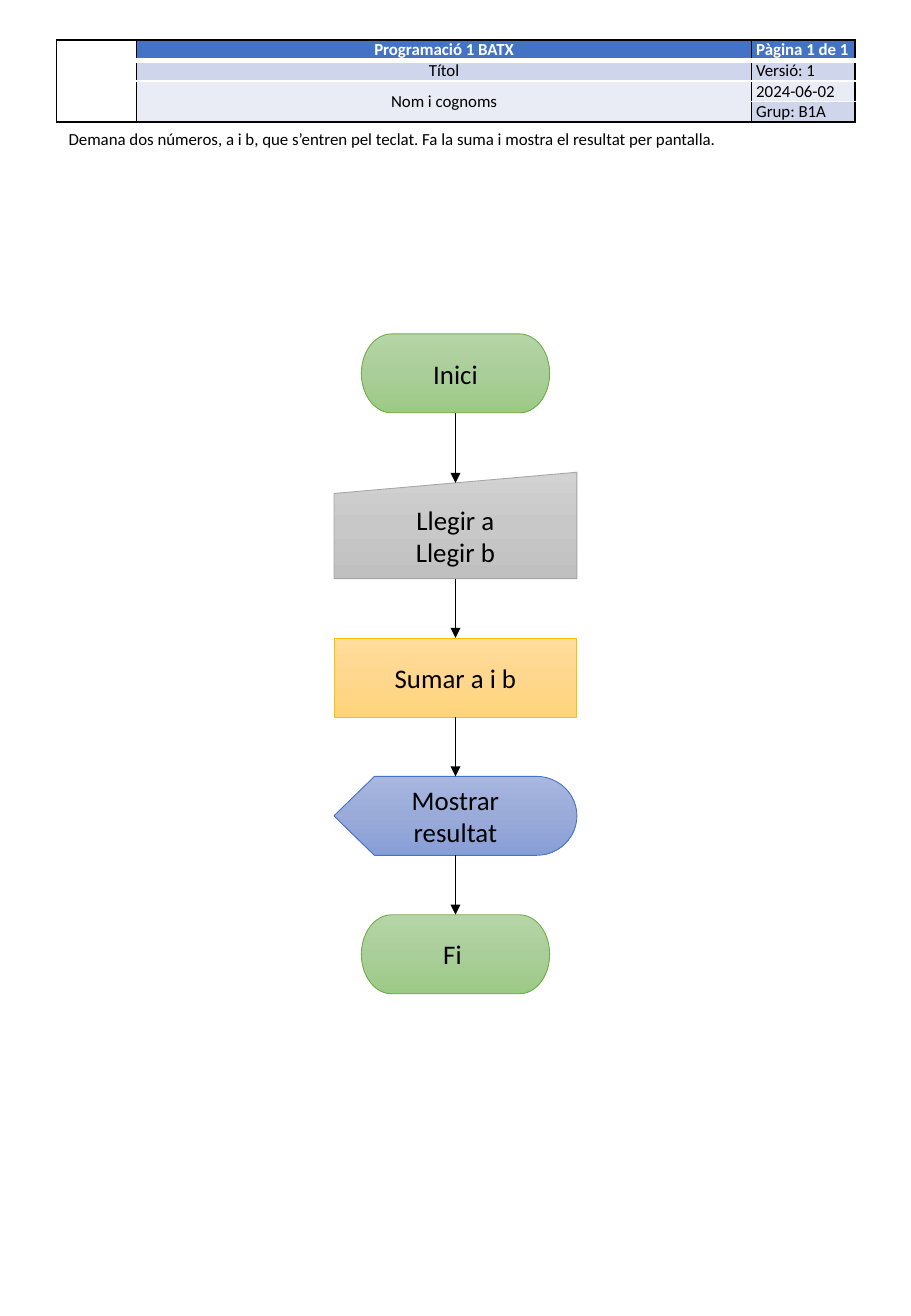
"""Build a page with a header table and the flowchart of a program that adds two numbers."""
from copy import deepcopy

from lxml.etree import SubElement
from pptx import Presentation
from pptx.dml.color import RGBColor
from pptx.enum.shapes import MSO_CONNECTOR, MSO_SHAPE as Shape
from pptx.enum.text import MSO_ANCHOR as Anchor, PP_ALIGN as Align
from pptx.oxml.ns import qn
from pptx.util import Pt

COLOURS = {
    "black": "000000", "white": "FFFFFF",
    "header": "4472C4", "dark band": "CFD5EA", "light band": "E9EBF5",
}
STYLES = {
    "green": ("70AD47", ("B5D5A7", "AACE99", "9CCA86")),
    "grey": ("A5A5A5", ("D2D2D2", "C8C8C8", "C0C0C0")),
    "yellow": ("FFC000", ("FFDD9C", "FFD78E", "FFD479")),
    "blue": ("4472C4", ("A8B7DF", "9AABD9", "879ED7")),
}
STATEMENT = ("Demana dos números, a i b, que s’entren pel teclat. "
             "Fa la suma i mostra el resultat per pantalla.")
HEADER_CELLS = [
    (0, 0, 4, "", None),
    (0, 1, 1, "Programació 1 BATX", "header"),
    (0, 2, 1, "Pàgina 1 de 1", "header"),
    (1, 1, 1, "Títol", "dark band"),
    (1, 2, 1, "Versió: 1", "dark band"),
    (2, 1, 2, "Nom i cognoms", "light band"),
    (2, 2, 1, "2024-06-02", "light band"),
    (3, 2, 1, "Grup: B1A", "dark band"),
]
STEPS = [
    ("Inici", Shape.FLOWCHART_TERMINATOR, 111.6, 46.8, "green"),
    ("Llegir a\nLlegir b", Shape.FLOWCHART_MANUAL_INPUT, 144, 63, "grey"),
    ("Sumar a i b", Shape.FLOWCHART_PROCESS, 144, 46.8, "yellow"),
    ("Mostrar resultat", Shape.FLOWCHART_DISPLAY, 144, 46.8, "blue"),
    ("Fi ", Shape.FLOWCHART_TERMINATOR, 111.6, 46.8, "green"),
]
PAGE_WIDTH, PAGE_HEIGHT = 540, 779.76
MARGIN, CONTENT_WIDTH = 33.6, 473.2
TABLE_TOP, ROW_HEIGHT, ROW_COUNT = 23.7, 12.1, 4
COLUMN_WIDTHS = (47.5, 364.3, 61.4)
FLOW_TOP, FLOW_GAP = 197.8, 35.2


def rgb(value):
    """Turn a colour name or hex string into a colour."""
    return RGBColor.from_string(COLOURS.get(value, value))


def write(frame, text, size=10, colour="black", bold=False, align=Align.LEFT):
    """Fill a text frame with one paragraph per line."""
    frame.word_wrap = True
    for index, line in enumerate(text.split("\n")):
        paragraph = frame.add_paragraph() if index else frame.paragraphs[0]
        paragraph.alignment = align
        if not line:
            SubElement(paragraph._p, qn("a:endParaRPr"), sz=str(size * 100))
            continue
        run = paragraph.add_run()
        run.text = line
        run.font.name, run.font.size, run.font.bold = "Calibri", Pt(size), bold
        run.font.color.rgb = rgb(colour)


def row_border(edge):
    """Give the colour and width of the rule above a row."""
    if edge in (0, ROW_COUNT):
        return "black", 1
    return "white", 3 if edge == 1 else 1


def set_borders(cell, top, bottom):
    """Draw the four borders of a cell."""
    properties = cell._tc.get_or_add_tcPr()
    sides = {"L": ("black", 1), "R": ("black", 1), "T": top, "B": bottom}
    for side, (colour, width) in sides.items():
        line = SubElement(properties, qn(f"a:ln{side}"), w=str(Pt(width)))
        fill = SubElement(line, qn("a:solidFill"))
        SubElement(fill, qn("a:srgbClr"), val=COLOURS[colour])


def add_header(slide):
    """Add the header table."""
    table = slide.shapes.add_table(
        ROW_COUNT, len(COLUMN_WIDTHS), Pt(MARGIN), Pt(TABLE_TOP),
        Pt(CONTENT_WIDTH), Pt(ROW_HEIGHT * ROW_COUNT)).table
    table.first_row = table.horz_banding = False
    for column, width in zip(table.columns, COLUMN_WIDTHS):
        column.width = Pt(width)
    for row in table.rows:
        row.height = Pt(ROW_HEIGHT)
    for first, column, span, text, fill in HEADER_CELLS:
        heading = fill == "header"
        if span > 1:
            table.cell(first, column).merge(table.cell(first + span - 1, column))
        for row in range(first, first + span):
            cell = table.cell(row, column)
            cell.margin_left = cell.margin_right = Pt(2.9)
            cell.margin_top = cell.margin_bottom = 0
            if column == 1 and not heading:
                cell.vertical_anchor = Anchor.MIDDLE
            write(cell.text_frame, text if row == first else "", bold=heading,
                  colour="white" if heading else "black",
                  align=Align.CENTER if column == 1 else Align.LEFT)
            set_borders(cell, row_border(first), row_border(first + span))
            if fill:
                cell.fill.solid()
                cell.fill.fore_color.rgb = rgb(fill)
            else:
                cell.fill.background()


def add_step(slide, top, text, kind, width, height, style):
    """Add one flowchart step, centred on the page."""
    shape = slide.shapes.add_shape(
        kind, Pt((PAGE_WIDTH - width) / 2), Pt(top), Pt(width), Pt(height))
    shape.shadow.inherit = False
    outline, shades = STYLES[style]
    shape.line.color.rgb, shape.line.width = rgb(outline), Pt(0.5)
    shape.fill.gradient()
    shape.fill.gradient_angle = 270
    stops = shape.element.spPr.find(".//" + qn("a:gsLst"))
    stops.insert(1, deepcopy(stops[0]))
    for index, (stop, shade) in enumerate(zip(shape.fill.gradient_stops, shades)):
        stop.position, stop.color.rgb = index / 2, rgb(shade)
    frame = shape.text_frame
    frame.margin_left = frame.margin_right = frame.margin_top = frame.margin_bottom = 0
    frame.vertical_anchor = Anchor.MIDDLE
    write(frame, text, size=15.9, align=Align.CENTER)
    return shape


def add_arrow(slide, source, target, drop):
    """Join two steps with an arrow ending a given drop below the target's top."""
    arrow = slide.shapes.add_connector(MSO_CONNECTOR.STRAIGHT, 0, 0, 0, 0)
    arrow.begin_connect(source, 2)
    arrow.end_connect(target, 0)
    arrow.end_y = target.top + Pt(drop)
    arrow.line.color.rgb, arrow.line.width = rgb("black"), Pt(1)
    SubElement(arrow.line._get_or_add_ln(), qn("a:tailEnd"), type="triangle")
    SubElement(arrow.element.spPr, qn("a:effectLst"))


def add_flowchart(slide):
    """Add the steps from top to bottom and the arrows between them."""
    top, previous = FLOW_TOP, None
    for text, kind, width, height, style in STEPS:
        shape = add_step(slide, top, text, kind, width, height, style)
        if previous:
            drop = height / 10 if kind == Shape.FLOWCHART_MANUAL_INPUT else 0
            add_arrow(slide, previous, shape, drop)
        top, previous = top + height + FLOW_GAP, shape


def main():
    """Build and save the page."""
    presentation = Presentation()
    presentation.slide_width, presentation.slide_height = Pt(PAGE_WIDTH), Pt(PAGE_HEIGHT)
    slide = presentation.slides.add_slide(presentation.slide_layouts[6])
    add_header(slide)
    add_flowchart(slide)
    statement = slide.shapes.add_textbox(Pt(MARGIN), Pt(72.7), Pt(CONTENT_WIDTH), Pt(19.4))
    write(statement.text_frame, STATEMENT)
    presentation.save("out.pptx")


if __name__ == "__main__":
    main()
